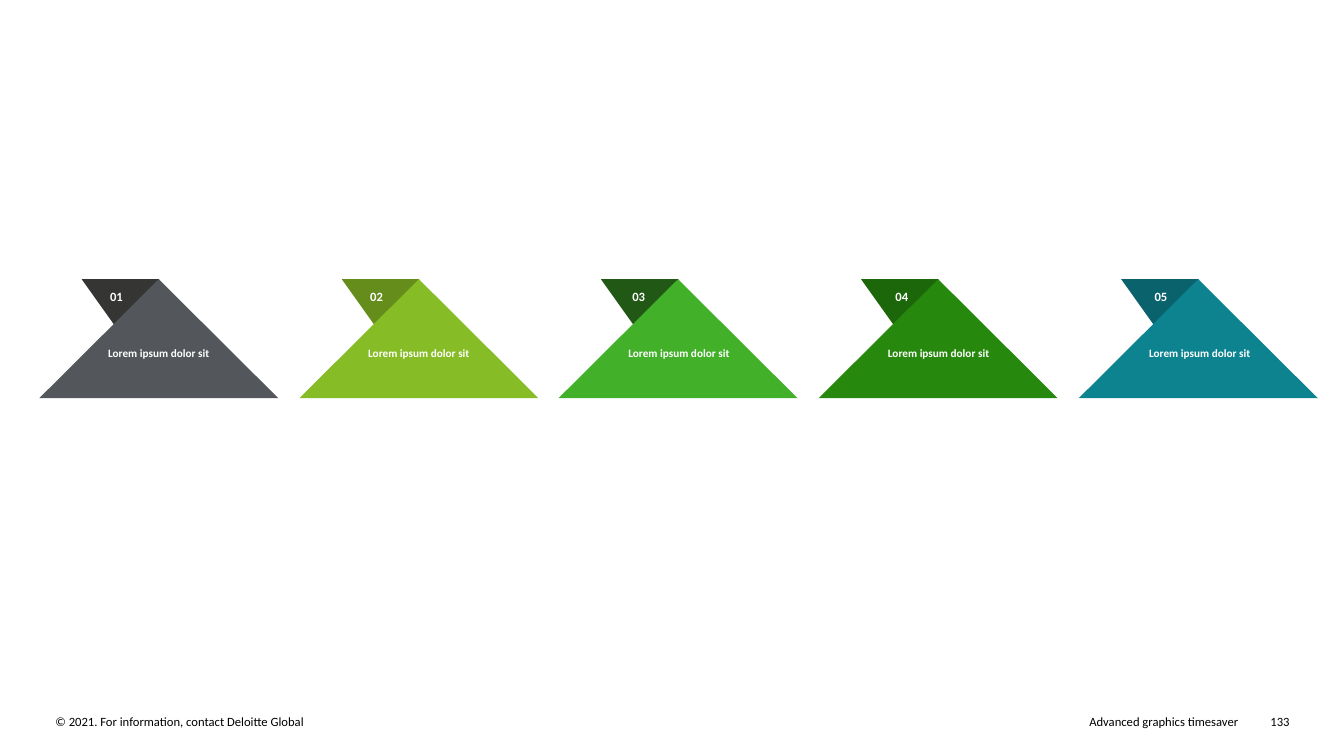
from pptx import Presentation
from pptx.dml.color import RGBColor
from pptx.enum.shapes import MSO_SHAPE
from pptx.enum.text import MSO_ANCHOR, PP_ALIGN
from pptx.util import Pt

PX = 9144
FONT = "Calibri"
STEP_LEFT, STEP_PITCH, STEP_TOP = 39, 257.75, 277
STEPS = [
    ("53565A", "353533", 99, 105, 105),
    ("86BC25", "658D1C", 357, 357, 117),
    ("43B02A", "215815", 617, 615, 117),
    ("26890D", "1C670A", 878, 870, 122),
    ("0D8390", "0A626C", 1135, 1129, 122),
]

presentation = Presentation()
presentation.slide_width = 1333 * PX
presentation.slide_height = 750 * PX
slide = presentation.slides.add_slide(presentation.slide_layouts[6])


def add_triangle(left, top, width, height, color, rotation=0):
    shape = slide.shapes.add_shape(
        MSO_SHAPE.ISOSCELES_TRIANGLE, left * PX, top * PX, width * PX, height * PX)
    shape.rotation = rotation
    shape.shadow.inherit = False
    shape.fill.solid()
    shape.fill.fore_color.rgb = RGBColor.from_string(color)
    shape.line.fill.background()


def add_text(text, left, top, width, height, size, color, align, bold=False):
    box = slide.shapes.add_textbox(left * PX, top * PX, width * PX, height * PX)
    frame = box.text_frame
    frame.word_wrap = True
    frame.margin_left = frame.margin_right = 0
    frame.margin_top = frame.margin_bottom = 0
    paragraph = frame.paragraphs[0]
    paragraph.alignment = align
    run = paragraph.add_run()
    run.text = text
    run.font.name = FONT
    run.font.size = Pt(size)
    run.font.bold = bold
    run.font.color.rgb = RGBColor.from_string(color)
    return frame


for text, left, width, align in [
    ("© 2021. For information, contact Deloitte Global", 55, 586, PP_ALIGN.LEFT),
    ("Advanced graphics timesaver", 693, 535, PP_ALIGN.RIGHT),
    ("133", 1245, 34, PP_ALIGN.RIGHT),
]:
    add_text(text, left, 708, width, 15, 9, "000000", align)

for index, (color, fold_color, number_left, label_left, label_width) in enumerate(STEPS):
    left = round(STEP_LEFT + index * STEP_PITCH)
    add_triangle(left + 42, STEP_TOP, 77, 54, fold_color, 180)
    add_triangle(left, STEP_TOP, 237, 118, color)
    add_text("Lorem ipsum dolor sit", label_left, 344, label_width, 37,
             8, "FFFFFF", PP_ALIGN.CENTER, True)
    number = add_text(f"{index + 1:02}", number_left, 284, 33, 18,
                      9, "FFFFFF", PP_ALIGN.CENTER, True)
    number.vertical_anchor = MSO_ANCHOR.BOTTOM
    number.paragraphs[0].line_spacing = Pt(9)

presentation.save("out.pptx")
